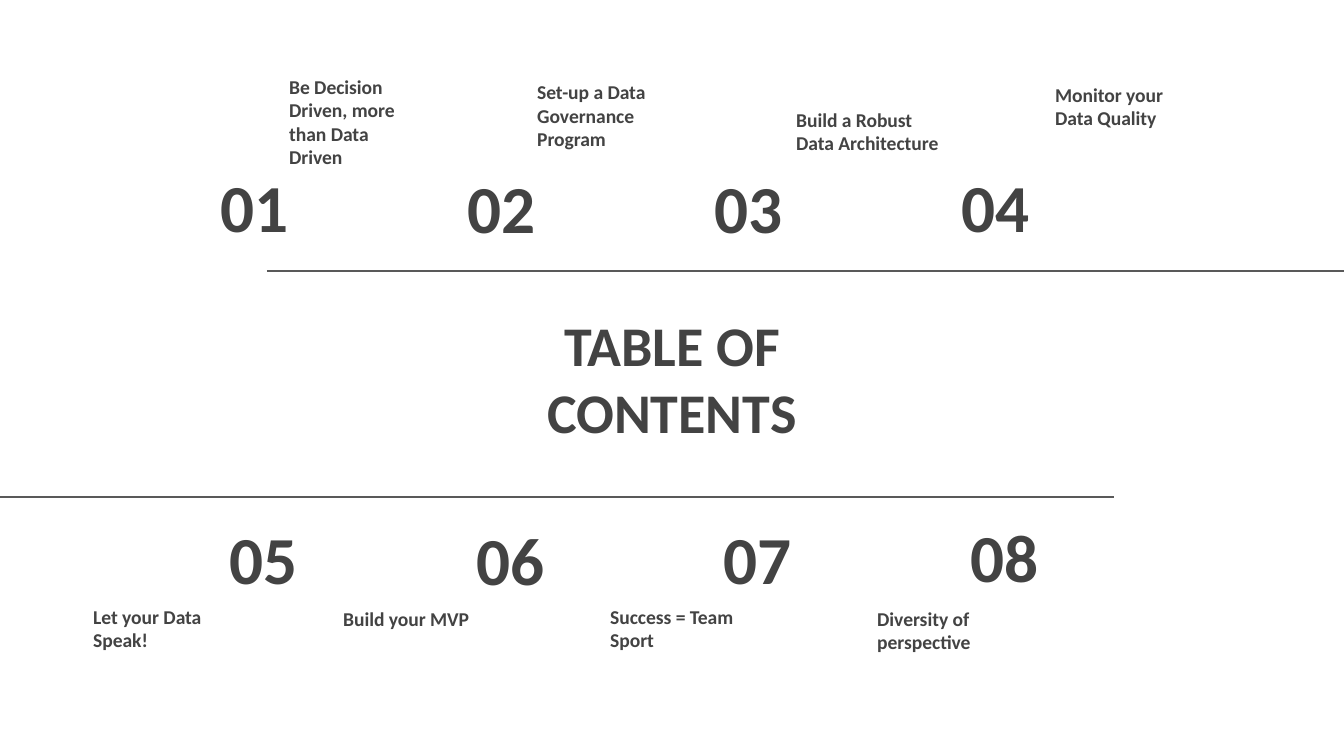
from lxml.etree import SubElement
from pptx import Presentation
from pptx.dml.color import RGBColor
from pptx.enum.shapes import MSO_CONNECTOR
from pptx.enum.text import MSO_ANCHOR, MSO_AUTO_SIZE, PP_ALIGN
from pptx.oxml.ns import qn
from pptx.util import Inches, Pt

PX = Inches(10) / 1344
INK, RULE = "434343", "595959"
FONT = "Calibri"
MARGIN = Inches(0.1)

HEADING = ("TABLE OF CONTENTS", (498, 309, 348, 138))
NUMBER_PITCH, NUMBER_SIZE = 247, (157, 85)
LABEL_HEIGHT = 85

ROWS = [
    {"number_left": 207, "topics": [
        ("01", 163, "Be Decision Driven, more than Data Driven", (276, 97, 153)),
        ("02", 164, "Set-up a Data Governance Program", (524, 79, 169)),
        ("03", 164, "Build a Robust Data Architecture", (783, 83, 169)),
        ("04", 163, "Monitor your Data Quality", (1042, 58, 169)),
    ]},
    {"number_left": 216, "topics": [
        ("05", 515, "Let your Data Speak!", (80, 580, 153)),
        ("06", 516, "Build your MVP", (330, 559, 169)),
        ("07", 515, "Success = Team Sport", (597, 580, 169)),
        ("08", 513, "Diversity of perspective", (864, 582, 169)),
    ]},
]
RULES = [(267, 1344, 271), (-1, 1114, 497)]


def color(value):
    return RGBColor.from_string(value)


def px(*lengths):
    return [round(length * PX) for length in lengths]


def write(shape, text, box, size, anchor=MSO_ANCHOR.MIDDLE, align=PP_ALIGN.LEFT):
    shape.left, shape.top, shape.width, shape.height = px(*box)
    frame = shape.text_frame
    frame.word_wrap = True
    frame.auto_size = MSO_AUTO_SIZE.NONE
    frame.vertical_anchor = anchor
    frame.margin_left = frame.margin_right = MARGIN
    frame.margin_top = frame.margin_bottom = MARGIN
    paragraph = frame.paragraphs[0]
    paragraph.text = text
    paragraph.alignment = align
    font = paragraph.runs[0].font
    font.name, font.size, font.bold = FONT, Pt(size), True
    font.color.rgb = color(INK)


def main():
    deck = Presentation()
    deck.slide_width, deck.slide_height = px(1344, 756)
    slide = deck.slides.add_slide(deck.slide_layouts[5])
    shapes = slide.shapes

    heading, heading_box = HEADING
    write(shapes.title, heading, heading_box, 30, align=PP_ALIGN.CENTER)

    for start, end, y in RULES:
        rule = shapes.add_connector(MSO_CONNECTOR.STRAIGHT, *px(start, y, end, y))
        rule.line.color.rgb = color(RULE)
        rule.line.width = Pt(0.75)
        SubElement(rule._element.spPr, qn("a:effectLst"))

    for row in ROWS:
        for column, (number, number_top, label, label_box) in enumerate(row["topics"]):
            number_left = row["number_left"] + column * NUMBER_PITCH
            number_box = (number_left, number_top, *NUMBER_SIZE)
            write(shapes.add_textbox(0, 0, 0, 0), number, number_box, 36)
            write(shapes.add_textbox(0, 0, 0, 0), label, (*label_box, LABEL_HEIGHT),
                  10.5, anchor=MSO_ANCHOR.BOTTOM)

    deck.save("out.pptx")


if __name__ == "__main__":
    main()
